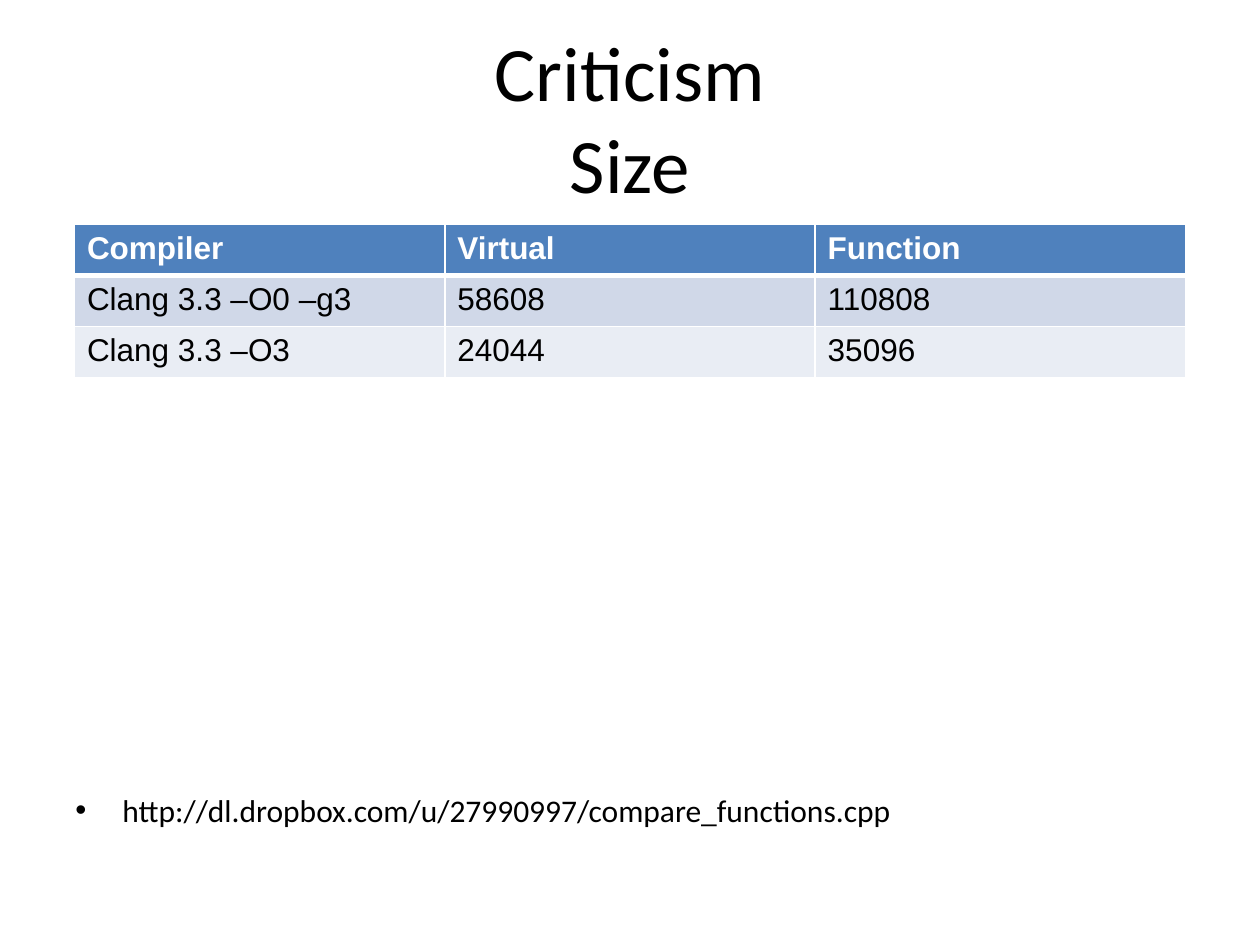
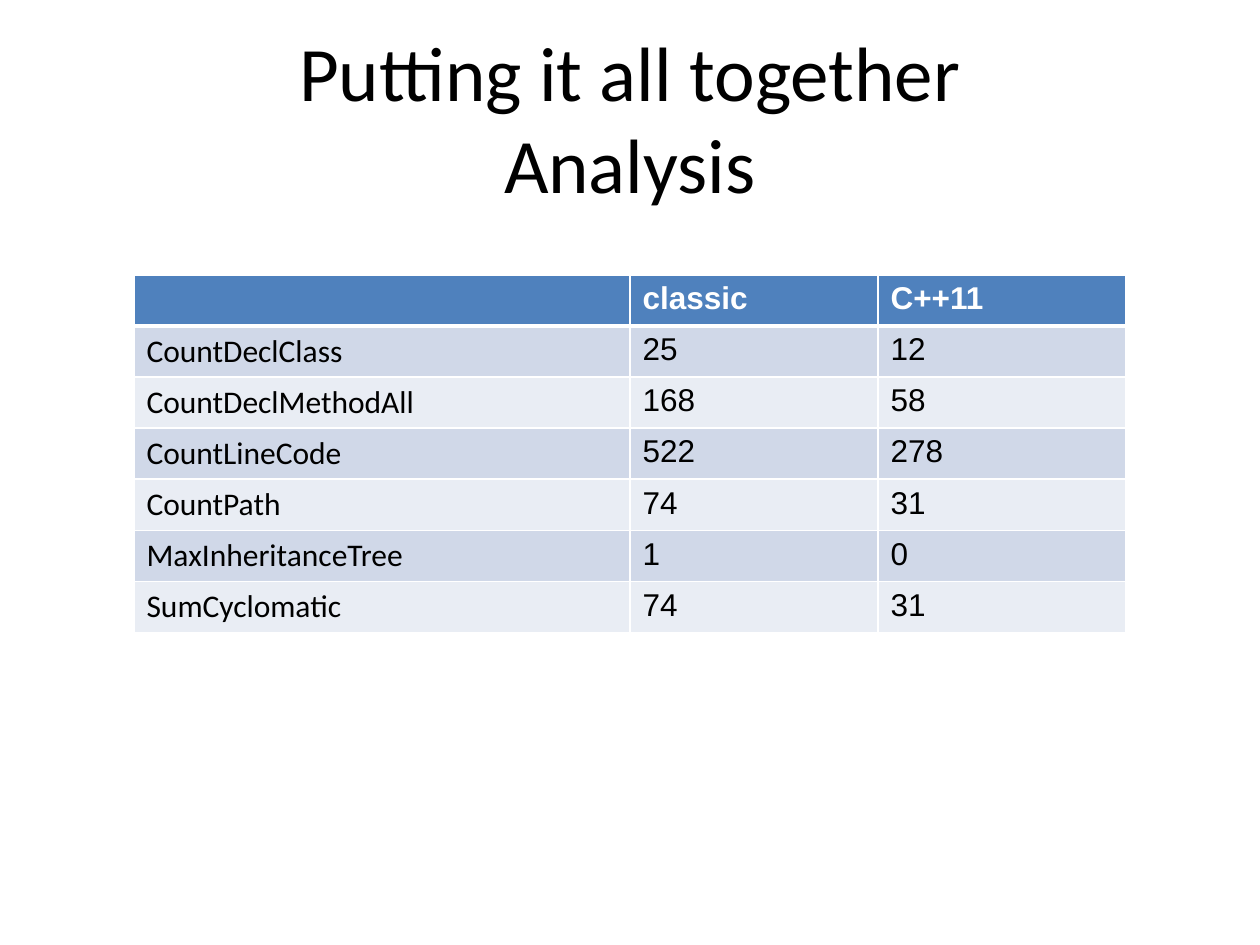
from lxml.etree import SubElement
from pptx import Presentation
from pptx.dml.color import RGBColor
from pptx.enum.text import MSO_ANCHOR, MSO_AUTO_SIZE, PP_ALIGN
from pptx.oxml.ns import qn
from pptx.util import Cm, Pt

COLORS = {
    "text": "000000",
    "light": "FFFFFF",
    "header": "4F81BD",
    "odd_row": "D0D8E8",
    "even_row": "E9EDF4",
}
HEADING_FONT, TABLE_FONT = "Calibri", "Arial"
ROW_HEIGHT = 1.03
TITLE_BOX = (1.27, 0.76, 22.86, 3.18)


def add_span(para, text, size, font, color="text", bold=False):
    """Add one formatted run to a paragraph."""
    span = para.add_run()
    span.text = text
    span.font.size = Pt(size)
    span.font.name = font
    span.font.bold = bold
    span.font.color.rgb = RGBColor.from_string(COLORS[color])


def add_titled_page(deck, lines):
    """Add a title-only page whose title has one run per line."""
    page = deck.slides.add_slide(deck.slide_layouts[5])
    title = page.shapes.title
    title.left, title.top, title.width, title.height = map(Cm, TITLE_BOX)
    frame = title.text_frame
    frame.word_wrap = True
    frame.auto_size = MSO_AUTO_SIZE.NONE
    frame.vertical_anchor = MSO_ANCHOR.MIDDLE
    para = frame.paragraphs[0]
    para.alignment = PP_ALIGN.CENTER
    for index, line in enumerate(lines):
        if index:
            para.add_line_break()
        add_span(para, line, 44, HEADING_FONT)
    return page


def set_borders(cell, top, bottom):
    """Draw white cell borders with the given top and bottom widths in points."""
    properties = cell._tc.get_or_add_tcPr()
    for side, width in (("L", 1), ("R", 1), ("T", top), ("B", bottom)):
        line = SubElement(properties, qn(f"a:ln{side}"), w=str(Pt(width)))
        fill = SubElement(line, qn("a:solidFill"))
        SubElement(fill, qn("a:srgbClr"), val=COLORS["light"])


def add_data_table(page, left, top, width, shares, rows, label_font=TABLE_FONT):
    """Add a banded table with columns sized by their shares of the width."""
    frame = page.shapes.add_table(
        len(rows), len(shares), Cm(left), Cm(top), Cm(width), Cm(ROW_HEIGHT * len(rows))
    )
    table = frame.table
    for column, share in zip(table.columns, shares):
        column.width = Cm(width * share / sum(shares))
    for row_index, values in enumerate(rows):
        table.rows[row_index].height = Cm(ROW_HEIGHT)
        is_header = row_index == 0
        band = "header" if is_header else "odd_row" if row_index % 2 else "even_row"
        for column_index, value in enumerate(values):
            cell = table.cell(row_index, column_index)
            set_borders(cell, 3 if row_index == 1 else 1, 3 if is_header else 1)
            cell.fill.solid()
            cell.fill.fore_color.rgb = RGBColor.from_string(COLORS[band])
            if value:
                is_label = column_index == 0 and not is_header
                add_span(
                    cell.text_frame.paragraphs[0],
                    value,
                    18,
                    label_font if is_label else TABLE_FONT,
                    "light" if is_header else "text",
                    is_header,
                )


def add_bullet_text(page, left, top, width, height, text):
    """Add a text box holding one bulleted line."""
    box = page.shapes.add_textbox(Cm(left), Cm(top), Cm(width), Cm(height))
    box.text_frame.word_wrap = True
    para = box.text_frame.paragraphs[0]
    properties = para._p.get_or_add_pPr()
    properties.set("marL", str(Cm(0.95)))
    properties.set("indent", str(-Cm(0.95)))
    SubElement(properties, qn("a:buFont"), typeface=TABLE_FONT)
    SubElement(properties, qn("a:buChar"), char="•")
    add_span(para, text, 18, HEADING_FONT)


def build_size_page(deck):
    """Build the page that compares compiled sizes."""
    page = add_titled_page(deck, ["Criticism", "Size"])
    rows = [
        ("Compiler", "Virtual", "Function"),
        ("Clang 3.3 –O0 –g3", "58608", "110808"),
        ("Clang 3.3 –O3", "24044", "35096"),
    ]
    add_data_table(page, 1.5, 4.52, 22.4, (1, 1, 1), rows)
    link = "http://dl.dropbox.com/u/27990997/compare_functions.cpp"
    add_bullet_text(page, 1.27, 15.82, 22.86, 1.2, link)


def build_analysis_page(deck):
    """Build the page that compares code metrics."""
    page = add_titled_page(deck, ["Putting it all together", "Analysis"])
    rows = [
        ("", "classic", "C++11"),
        ("CountDeclClass", "25", "12"),
        ("CountDeclMethodAll", "168", "58"),
        ("CountLineCode", "522", "278"),
        ("CountPath", "74", "31"),
        ("MaxInheritanceTree", "1", "0"),
        ("SumCyclomatic", "74", "31"),
    ]
    add_data_table(page, 2.7, 5.54, 20, (2, 1, 1), rows, HEADING_FONT)


def main():
    """Build and save the deck."""
    deck = Presentation()
    deck.slide_width, deck.slide_height = Cm(25.4), Cm(19.05)
    build_size_page(deck)
    build_analysis_page(deck)
    deck.save("out.pptx")


if __name__ == "__main__":
    main()
